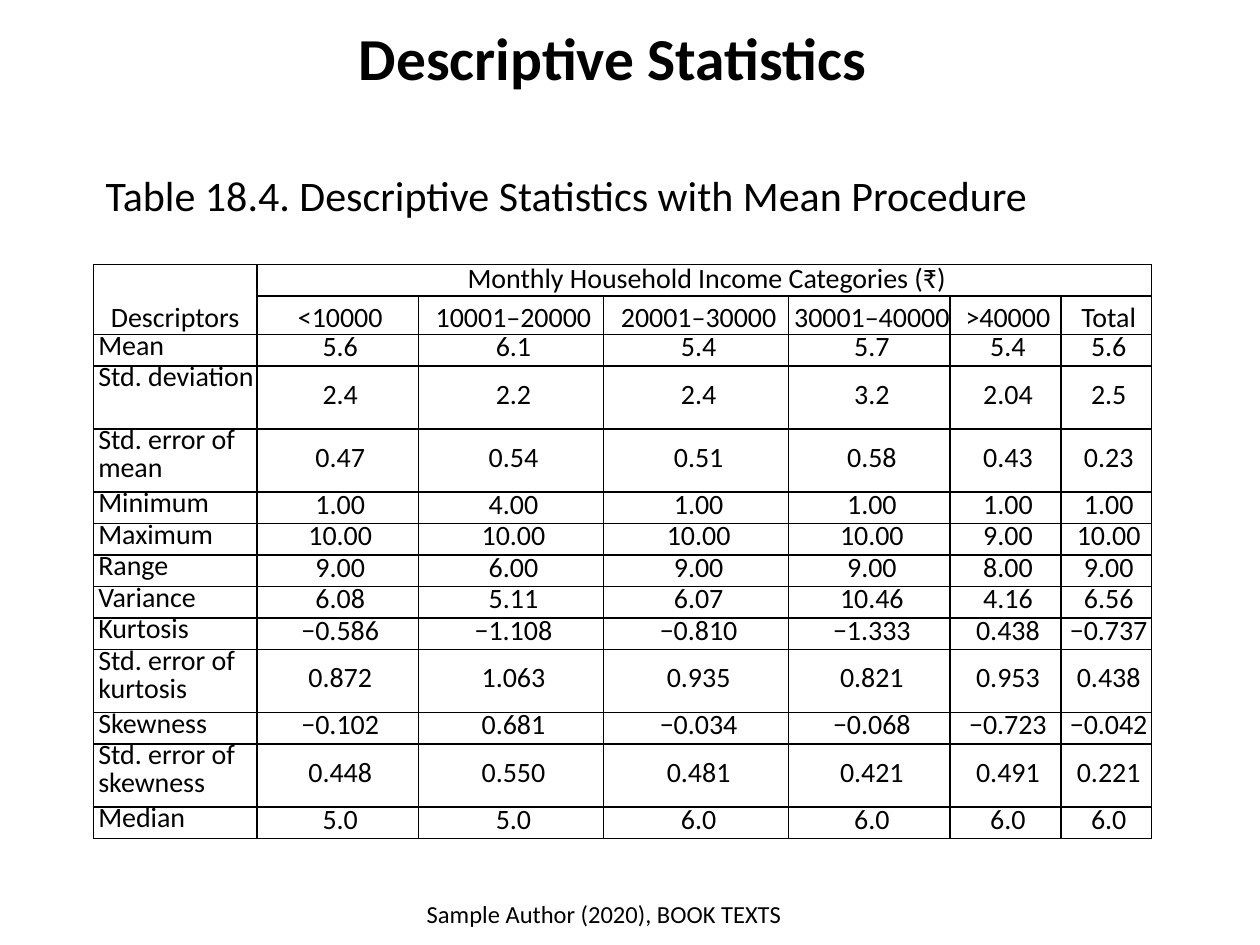
from lxml.etree import SubElement
from pptx import Presentation
from pptx.dml.color import RGBColor
from pptx.enum.text import MSO_ANCHOR, MSO_AUTO_SIZE, PP_ALIGN
from pptx.oxml.ns import qn
from pptx.util import Inches, Pt

COLORS = {"ink": "000000"}
INK = RGBColor.from_string(COLORS["ink"])
FACE = "Calibri"
UNIT = 0.25

deck = Presentation()
deck.slide_width, deck.slide_height = Inches(10), Inches(7.5)
W, H = deck.slide_width, deck.slide_height
slide = deck.slides.add_slide(deck.slide_layouts[6])


def write(para, text, size, align, bold=False):
    para.alignment = align
    run = para.add_run()
    run.text = text
    for name, value in {"name": FACE, "size": Pt(size), "bold": bold}.items():
        setattr(run.font, name, value)
    run.font.color.rgb = INK


def frame(cell):
    props = cell._tc.get_or_add_tcPr()
    for side in ("lnL", "lnR", "lnT", "lnB"):
        line = SubElement(props, qn(f"a:{side}"), w=str(Pt(1)))
        fill = SubElement(line, qn("a:solidFill"))
        SubElement(fill, qn("a:srgbClr"), val=COLORS["ink"])
    cell.fill.background()


CENTER, LEFT = PP_ALIGN.CENTER, PP_ALIGN.LEFT
TOP, MIDDLE, BOTTOM = MSO_ANCHOR.TOP, MSO_ANCHOR.MIDDLE, MSO_ANCHOR.BOTTOM

labels = [
    ("Descriptive Statistics ", (0.05, 0.024, 0.883, 0.088), 34, CENTER, True,
     {"word_wrap": True}, 0.9),
    ("Table 18.4. Descriptive Statistics with Mean Procedure",
     (0.074, 0.173, 0.759, 0.067), 24, LEFT, False,
     {"word_wrap": False, "vertical_anchor": MIDDLE,
      "auto_size": MSO_AUTO_SIZE.SHAPE_TO_FIT_TEXT}, None),
    ("Sample Author (2020), BOOK TEXTS", (0.301, 0.945, 0.357, 0.053), 14,
     CENTER, False, {"word_wrap": True}, None),
]
for text, (x, y, w, h), size, align, bold, form, pitch in labels:
    box = slide.shapes.add_textbox(int(W * x), int(H * y), int(W * w), int(H * h))
    for name, value in form.items():
        setattr(box.text_frame, name, value)
    para = box.text_frame.paragraphs[0]
    write(para, text, size, align, bold)
    para.line_spacing = pitch

rows = [
    ["Descriptors", "Monthly Household Income Categories (₹)", "", "", "", "", ""],
    ["", "<10000", "10001–20000", "20001–30000", "30001–40000", ">40000", "Total"],
    ["Mean", "5.6", "6.1", "5.4", "5.7", "5.4", "5.6"],
    ["Std. deviation", "2.4", "2.2", "2.4", "3.2", "2.04", "2.5"],
    ["Std. error of mean", "0.47", "0.54", "0.51", "0.58", "0.43", "0.23"],
    ["Minimum", "1.00", "4.00", "1.00", "1.00", "1.00", "1.00"],
    ["Maximum", "10.00", "10.00", "10.00", "10.00", "9.00", "10.00"],
    ["Range", "9.00", "6.00", "9.00", "9.00", "8.00", "9.00"],
    ["Variance", "6.08", "5.11", "6.07", "10.46", "4.16", "6.56"],
    ["Kurtosis", "−0.586", "−1.108", "−0.810", "−1.333", "0.438", "−0.737"],
    ["Std. error of kurtosis", "0.872", "1.063", "0.935", "0.821", "0.953", "0.438"],
    ["Skewness", "−0.102", "0.681", "−0.034", "−0.068", "−0.723", "−0.042"],
    ["Std. error of skewness", "0.448", "0.550", "0.481", "0.421", "0.491", "0.221"],
    ["Median", "5.0", "5.0", "6.0", "6.0", "6.0", "6.0"],
]
widths = [1.3, 1.28, 1.47, 1.47, 1.28, 0.88, 0.72]
heights = [UNIT * (2 if row[0].startswith("Std.") else 1) for row in rows]

table = slide.shapes.add_table(
    len(rows), len(widths), int(W * 0.074), int(H * 0.28),
    Inches(sum(widths)), Inches(sum(heights))).table
table.first_row = table.horz_banding = False
for col, width in zip(table.columns, widths):
    col.width = Inches(width)
for band, height in zip(table.rows, heights):
    band.height = Inches(height)
table.cell(0, 0).merge(table.cell(1, 0))
table.cell(0, 1).merge(table.cell(0, 6))

for r, row in enumerate(rows):
    for c, text in enumerate(row):
        cell = table.cell(r, c)
        head, label = r < 2, c == 0
        anchor = BOTTOM if head else TOP if label else MIDDLE
        form = {"vertical_anchor": anchor, "margin_left": 0, "margin_right": 0,
                "margin_top": 0, "margin_bottom": 0}
        for name, value in form.items():
            setattr(cell, name, value)
        para = cell.text_frame.paragraphs[0]
        write(para, text, 16, LEFT if label and not head else CENTER)
        if head and label:
            para.line_spacing = 1.15
        else:
            para.line_spacing = Pt(16)
            para._p.get_or_add_pPr().set("marL", str(Inches(0.04)))
        frame(cell)

deck.save("out.pptx")
